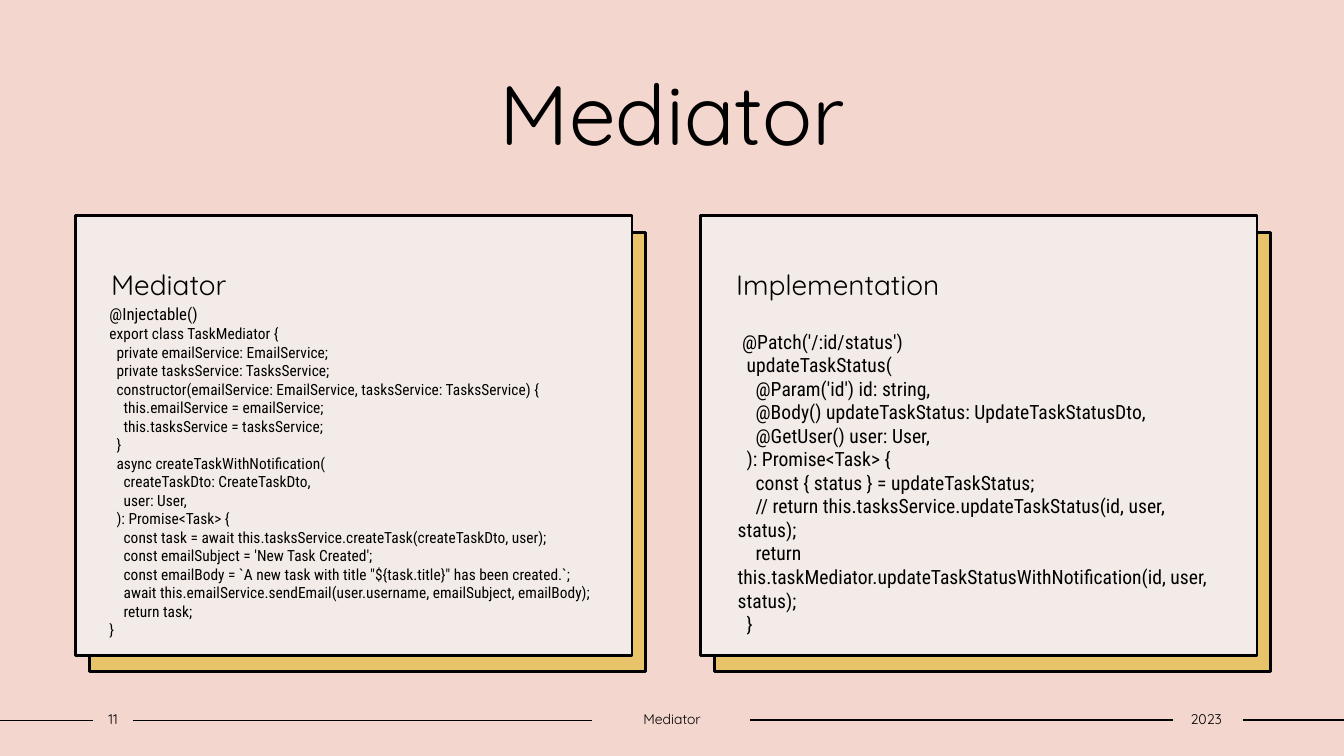
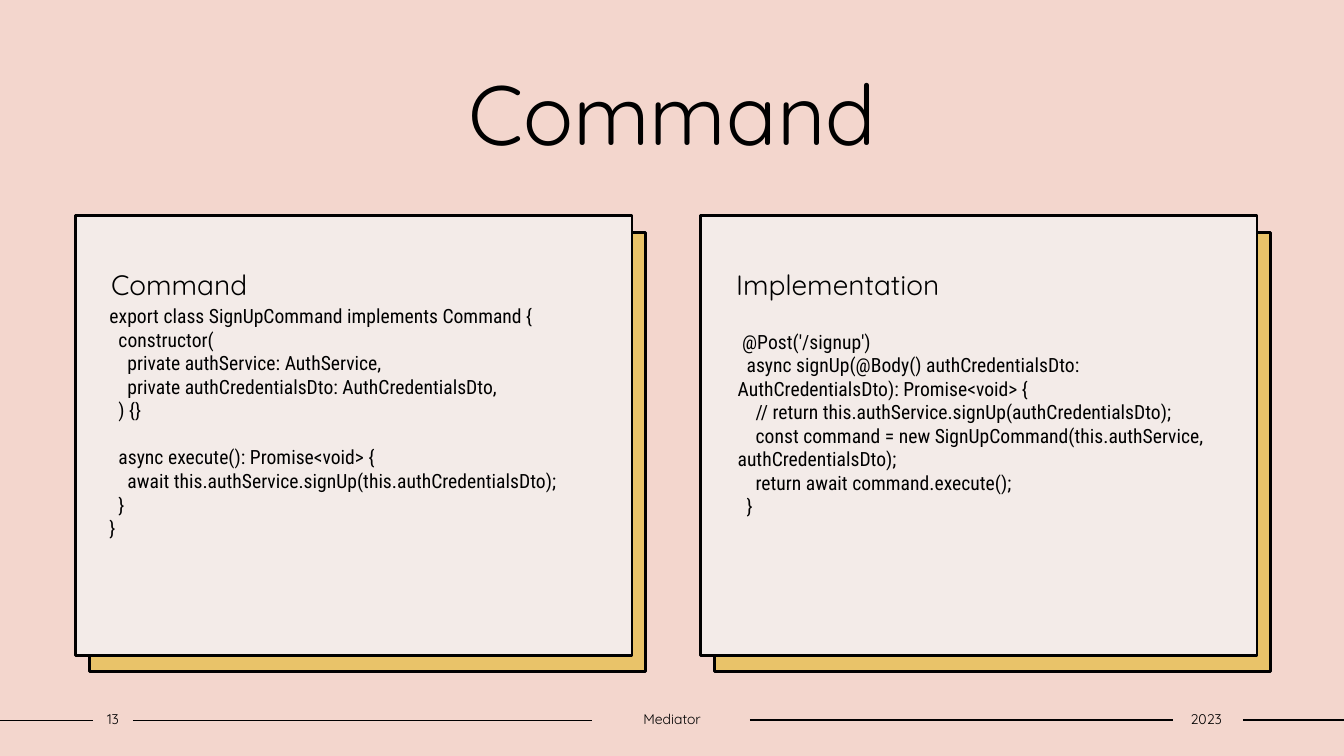
from dataclasses import dataclass

from lxml import etree
from pptx import Presentation
from pptx.dml.color import RGBColor
from pptx.enum.shapes import MSO_CONNECTOR, MSO_SHAPE
from pptx.enum.text import MSO_ANCHOR, PP_ALIGN
from pptx.oxml.ns import qn
from pptx.util import Cm, Pt

RECTANGLE = MSO_SHAPE.RECTANGLE
STRAIGHT = MSO_CONNECTOR.STRAIGHT
LEFT, CENTER = PP_ALIGN.LEFT, PP_ALIGN.CENTER
TOP, MIDDLE = MSO_ANCHOR.TOP, MSO_ANCHOR.MIDDLE


@dataclass(frozen=True)
class Theme:
    background: RGBColor = RGBColor(0xF3, 0xD6, 0xCD)
    card: RGBColor = RGBColor(0xF3, 0xEB, 0xE8)
    accent: RGBColor = RGBColor(0xE9, 0xC3, 0x69)
    ink: RGBColor = RGBColor(0, 0, 0)
    heading_font: str = "Quicksand"
    code_font: str = "Roboto Condensed"
    title_size: float = 60
    card_size: float = 20
    footer_size: float = 10
    code_size: float = 14
    small_code_size: float = 11
    decorator_size: float = 12
    card_line: float = 2
    footer_line: float = 1
    space_width: float = 0.23  # width of a code space, in ems
    line_height: float = 1.2   # height of a code line, in ems


THEME = Theme()

# Card grid, in centimetres
CARD_LEFT, CARD_TOP, CARD_WIDTH, CARD_HEIGHT = 1.91, 5.44, 14.02, 11.07
CARD_PITCH = 15.75
BACKING_SHIFT = (0.34, 0.41)
CODE_PLACES = ((2.51, 7.54), (18.34, 8.18))
CODE_WIDTH, CODE_HEIGHT = 12.8, 7.75

# Footer: rules as (start, end, height), labels as (left, width)
FOOTER_RULES = ((0, 2.34, 18.16), (3.35, 14.91, 18.16),
                (18.9, 29.57, 18.14), (31.32, 33.87, 18.14))
FOOTER_PLACES = ((2.34, 1.02), (14.91, 4.06), (29.51, 1.78))
FOOTER_TOP, FOOTER_HEIGHT = 17.78, 0.69

MEDIATOR_CODE = """\
@Injectable()
export class TaskMediator {
  private emailService: EmailService;
  private tasksService: TasksService;
  constructor(emailService: EmailService, tasksService: TasksService) {
    this.emailService = emailService;
    this.tasksService = tasksService;
  }
  async createTaskWithNotification(
    createTaskDto: CreateTaskDto,
    user: User,
  ): Promise<Task> {
    const task = await this.tasksService.createTask(createTaskDto, user);
    const emailSubject = 'New Task Created';
    const emailBody = `A new task with title "${task.title}" has been created.`;
    await this.emailService.sendEmail(user.username, emailSubject, emailBody);
    return task;
}"""

MEDIATOR_USE = """\
 @Patch('/:id/status')
  updateTaskStatus(
    @Param('id') id: string,
    @Body() updateTaskStatus: UpdateTaskStatusDto,
    @GetUser() user: User,
  ): Promise<Task> {
    const { status } = updateTaskStatus;
    // return this.tasksService.updateTaskStatus(id, user, status);
    return this.taskMediator.updateTaskStatusWithNotification(id, user, status);
  }"""

COMMAND_CODE = """\
export class SignUpCommand implements Command {
  constructor(
    private authService: AuthService,
    private authCredentialsDto: AuthCredentialsDto,
  ) {}

  async execute(): Promise<void> {
    await this.authService.signUp(this.authCredentialsDto);
  }
}"""

COMMAND_USE = """\
 @Post('/signup')
  async signUp(@Body() authCredentialsDto: AuthCredentialsDto): Promise<void> {
    // return this.authService.signUp(authCredentialsDto);
    const command = new SignUpCommand(this.authService, authCredentialsDto);
    return await command.execute();
  }"""


def add_run(paragraph, text, size, font):
    run = paragraph.add_run()
    run.text = text
    run.font.size = Pt(size)
    run.font.name = font
    run.font.color.rgb = THEME.ink


def add_text_box(slide, left, top, width, height):
    shape = slide.shapes.add_textbox(Cm(left), Cm(top), Cm(width), Cm(height))
    shape.text_frame.word_wrap = True
    return shape.text_frame


def add_title(slide, text):
    frame = add_text_box(slide, 3.18, 1.42, 27.53, 2.82)
    paragraph = frame.paragraphs[0]
    paragraph.alignment = CENTER
    add_run(paragraph, text, THEME.title_size, THEME.heading_font)


def add_panel(slide, left, top, fill):
    shape = slide.shapes.add_shape(
        RECTANGLE, Cm(left), Cm(top), Cm(CARD_WIDTH), Cm(CARD_HEIGHT))
    shape.shadow.inherit = False
    shape.fill.solid()
    shape.fill.fore_color.rgb = fill
    shape.line.color.rgb = THEME.ink
    shape.line.width = Pt(THEME.card_line)
    return shape


def add_card(slide, column, heading):
    """Draw a headed card on its offset backing."""
    left = CARD_LEFT + column * CARD_PITCH
    shift_x, shift_y = BACKING_SHIFT
    add_panel(slide, left + shift_x, CARD_TOP + shift_y, THEME.accent)
    frame = add_panel(slide, left, CARD_TOP, THEME.card).text_frame
    frame.vertical_anchor = TOP
    frame.margin_left, frame.margin_top = Cm(0.89), Cm(1.4)
    paragraph = frame.paragraphs[0]
    paragraph.alignment = LEFT
    paragraph.line_spacing = 0.9
    paragraph.space_before = Pt(10)
    add_run(paragraph, heading, THEME.card_size, THEME.heading_font)


def add_code(slide, column, code, size, first_size):
    """Write code; leading spaces become indents, empty lines become spacing."""
    frame = add_text_box(slide, *CODE_PLACES[column], CODE_WIDTH, CODE_HEIGHT)
    paragraph = frame.paragraphs[0]
    line_size, gap = first_size, 0
    for number, line in enumerate(code.splitlines()):
        text = line.lstrip()
        if not text:
            gap += size * THEME.line_height
            continue
        if number:
            paragraph, line_size = frame.add_paragraph(), size
        if gap:
            paragraph.space_before, gap = Pt(gap), 0
        indent = Pt((len(line) - len(text)) * THEME.space_width * line_size)
        properties = paragraph._p.get_or_add_pPr()
        properties.set("marL", "0")
        properties.set("indent", str(indent))
        add_run(paragraph, text, line_size, THEME.code_font)


def add_rule(slide, start, end, height):
    connector = slide.shapes.add_connector(
        STRAIGHT, Cm(start), Cm(height), Cm(end), Cm(height))
    connector.line.color.rgb = THEME.ink
    connector.line.width = Pt(THEME.footer_line)
    etree.SubElement(connector._element.spPr, qn("a:effectLst"))


def add_footer(slide, number):
    for rule in FOOTER_RULES:
        add_rule(slide, *rule)
    labels = (number, "Mediator", "2023")
    for (left, width), label in zip(FOOTER_PLACES, labels):
        frame = add_text_box(slide, left, FOOTER_TOP, width, FOOTER_HEIGHT)
        frame.margin_left = frame.margin_right = 0
        frame.vertical_anchor = MIDDLE
        paragraph = frame.paragraphs[0]
        paragraph.alignment = CENTER
        add_run(paragraph, label, THEME.footer_size, THEME.heading_font)


def add_pattern_slide(presentation, name, number, codes):
    """Build a slide from (code, size, size of first line) per column."""
    slide = presentation.slides.add_slide(presentation.slide_layouts[6])
    add_title(slide, name)
    for column, heading in enumerate((name, "Implementation")):
        add_card(slide, column, heading)
        add_code(slide, column, *codes[column])
    add_footer(slide, number)


def main():
    presentation = Presentation()
    presentation.slide_width, presentation.slide_height = Cm(33.87), Cm(19.05)
    # Shared background
    background = presentation.slide_master.background.fill
    background.solid()
    background.fore_color.rgb = THEME.background
    # Slides
    regular = (THEME.code_size, THEME.code_size)
    small = (THEME.small_code_size, THEME.decorator_size)
    add_pattern_slide(presentation, "Mediator", "11",
                      ((MEDIATOR_CODE, *small), (MEDIATOR_USE, *regular)))
    add_pattern_slide(presentation, "Command", "13",
                      ((COMMAND_CODE, *regular), (COMMAND_USE, *regular)))
    presentation.save("out.pptx")


if __name__ == "__main__":
    main()
